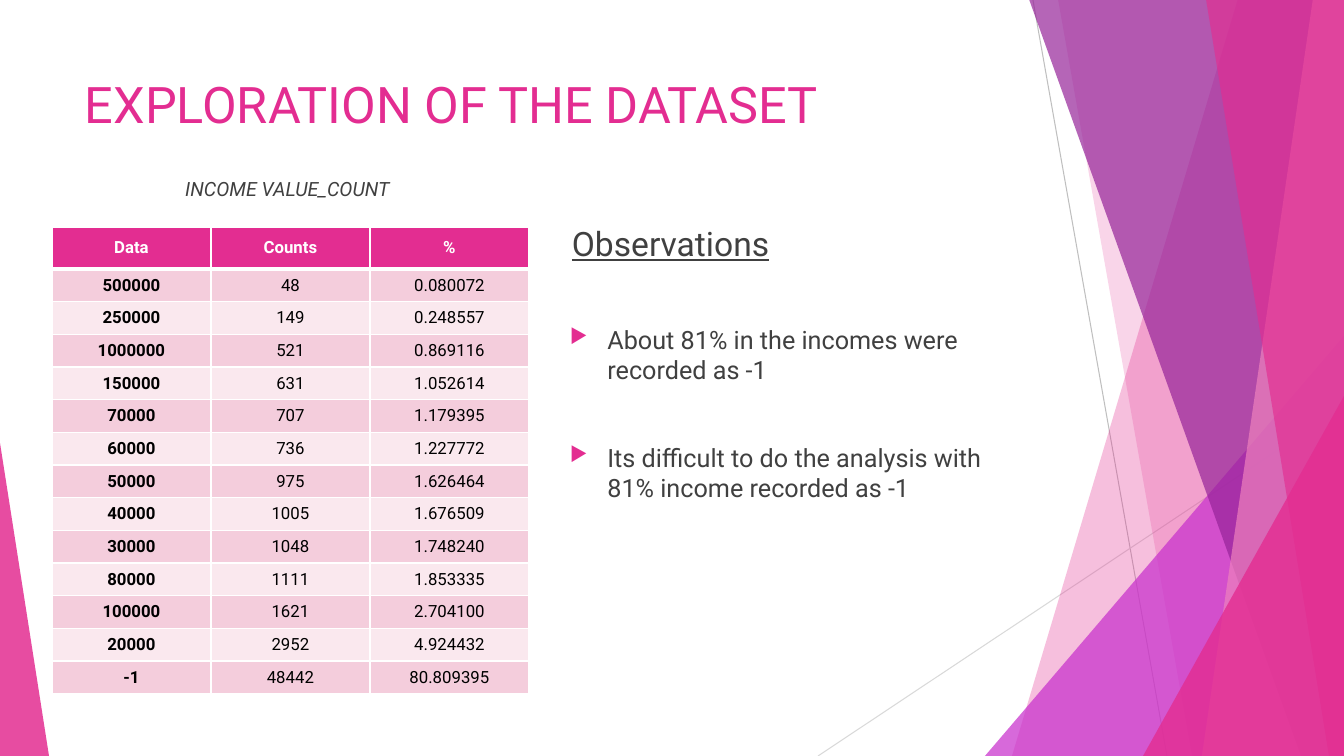
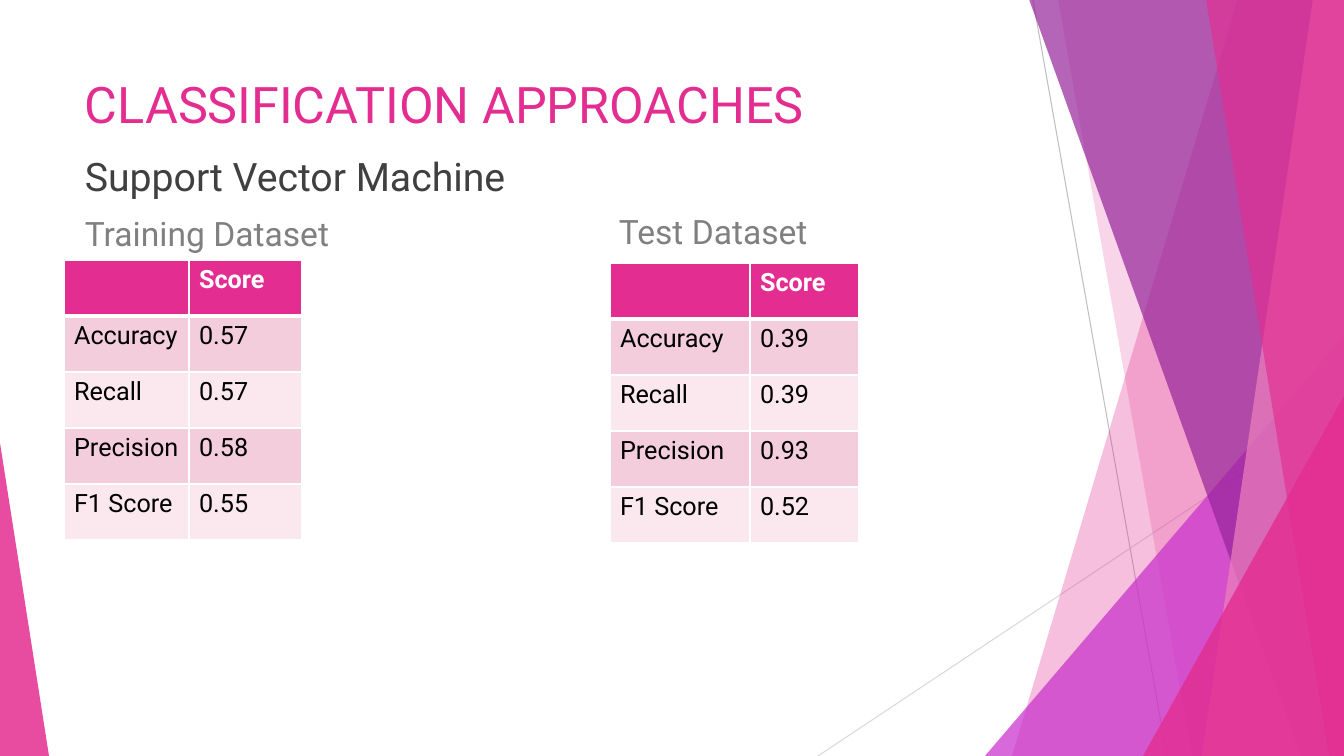
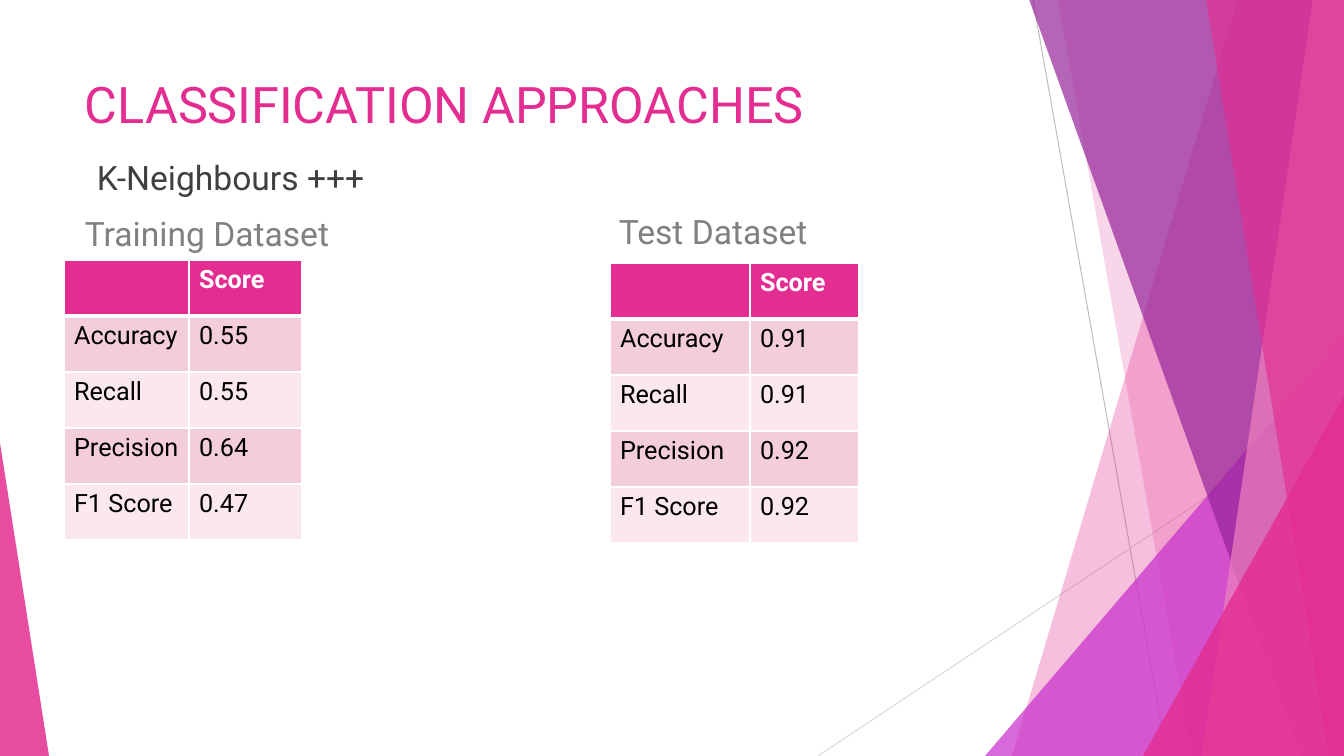
from lxml.etree import SubElement
from pptx import Presentation
from pptx.dml.color import RGBColor
from pptx.enum.shapes import MSO_CONNECTOR, MSO_SHAPE
from pptx.enum.text import MSO_ANCHOR, PP_ALIGN
from pptx.oxml import parse_xml
from pptx.oxml.ns import nsdecls, qn
from pptx.util import Emu, Pt

PIXEL = 914400 / 100.8
WIDTH, HEIGHT = 1344, 756
FONT = "Roboto"
PINK, WHITE, BLACK = "E32D91", "FFFFFF", "000000"
DARK, GREY = "404040", "808080"
ROW_FILLS = ["FAE8EE", "F4CDDC"]

LINES = [((1033, 0, 1167, 756), "BFBFBF"), ((1344, 406, 818, 756), "D9D9D9")]
PANELS = [
    ("band", (1238, 1012), PINK, 30),
    ("band", (1058, 1192), PINK, 20),
    ("triangle", (985, 336, 359, 420, 1), "C830CC", 72),
    ("band", (1029, 1301), "962499", 70),
    ("band", (1313, 1202), "EE81BD", 70),
    ("band", (1206, 1329), PINK, 65),
    ("triangle", (1143, 396, 201, 360, 1), PINK, 80),
    ("triangle", (0, 443, 49, 313, 0), PINK, 85),
]

INCOME_ROWS = [
    ("Data", "Counts", "%"),
    ("500000", "48", "0.080072"),
    ("250000", "149", "0.248557"),
    ("1000000", "521", "0.869116"),
    ("150000", "631", "1.052614"),
    ("70000", "707", "1.179395"),
    ("60000", "736", "1.227772"),
    ("50000", "975", "1.626464"),
    ("40000", "1005", "1.676509"),
    ("30000", "1048", "1.748240"),
    ("80000", "1111", "1.853335"),
    ("100000", "1621", "2.704100"),
    ("20000", "2952", "4.924432"),
    ("-1", "48442", "80.809395"),
]
METRICS = ["Accuracy", "Recall", "Precision", "F1 Score"]
MODELS = [
    ("Support Vector Machine", (75, 140, 462, 64), 28,
     ["0.57", "0.57", "0.58", "0.55"], ["0.39", "0.39", "0.93", "0.52"]),
    ("K-Neighbours +++", (87, 138, 462, 64), 24,
     ["0.55", "0.55", "0.64", "0.47"], ["0.91", "0.91", "0.92", "0.92"]),
]


def add_text(slide, box, lines, size, color, anchor=MSO_ANCHOR.BOTTOM,
             align=PP_ALIGN.LEFT, before=10, italic=False, underline=False):
    shape = slide.shapes.add_textbox(*[Emu(round(n * PIXEL)) for n in box])
    frame = shape.text_frame
    frame.word_wrap = True
    frame.vertical_anchor = anchor
    for index, line in enumerate(lines):
        paragraph = frame.add_paragraph() if index else frame.paragraphs[0]
        paragraph.alignment = align
        paragraph.space_before = Pt(before)
        run = paragraph.add_run()
        run.text = line
        run.font.name = FONT
        run.font.size = Pt(size)
        run.font.color.rgb = RGBColor.from_string(color)
        run.font.italic = italic
        run.font.underline = underline
    return frame


def add_grid(slide, left, top, widths, height, header, rows, size,
             anchor=MSO_ANCHOR.TOP, align=PP_ALIGN.LEFT, bold_labels=False):
    box = [left, top, sum(widths), height]
    table = slide.shapes.add_table(
        len(rows), len(widths), *[Emu(round(n * PIXEL)) for n in box]).table
    for column, width in zip(table.columns, widths):
        column.width = Emu(round(width * PIXEL))
    row_height = (height - header) / (len(rows) - 1)
    for r, values in enumerate(rows):
        table.rows[r].height = Emu(round((row_height if r else header) * PIXEL))
        for c, value in enumerate(values):
            cell = table.cell(r, c)
            cell.vertical_anchor = anchor
            cell.fill.solid()
            cell.fill.fore_color.rgb = RGBColor.from_string(ROW_FILLS[r % 2] if r else PINK)
            paragraph = cell.text_frame.paragraphs[0]
            paragraph.alignment = align
            paragraph.font.size = Pt(size)
            if value:
                run = paragraph.add_run()
                run.text = value
                run.font.name = FONT
                run.font.size = Pt(size)
                run.font.bold = r == 0 or (bold_labels and c == 0)
                run.font.color.rgb = RGBColor.from_string(BLACK if r else WHITE)
            properties = cell._tc.get_or_add_tcPr()
            for position, side in enumerate(["lnL", "lnR", "lnT", "lnB"]):
                weight = Pt(3 if (side, r) in [("lnB", 0), ("lnT", 1)] else 1)
                properties.insert(position, parse_xml(
                    f'<a:{side} {nsdecls("a")} w="{weight}"><a:solidFill>'
                    f'<a:srgbClr val="{WHITE}"/></a:solidFill></a:{side}>'))


presentation = Presentation()
presentation.slide_width = Emu(round(WIDTH * PIXEL))
presentation.slide_height = Emu(round(HEIGHT * PIXEL))

slides = []
for title in ["EXPLORATION OF THE DATASET"] + ["CLASSIFICATION APPROACHES"] * 2:
    slide = presentation.slides.add_slide(presentation.slide_layouts[6])
    slides.append(slide)
    for ends, color in LINES:
        connector = slide.shapes.add_connector(
            MSO_CONNECTOR.STRAIGHT, *[Emu(round(n * PIXEL)) for n in ends])
        connector.line.color.rgb = RGBColor.from_string(color)
        connector.line.width = Pt(0.75)
        SubElement(connector.element.spPr, qn("a:effectLst"))
    for kind, geometry, color, opacity in PANELS:
        if kind == "band":
            top_left, bottom_left = geometry
            builder = slide.shapes.build_freeform(top_left, -1, scale=PIXEL)
            builder.add_line_segments(
                [(WIDTH, -1), (WIDTH, HEIGHT), (bottom_left, HEIGHT)], close=True)
            shape = builder.convert_to_shape()
        else:
            *box, apex = geometry
            shape = slide.shapes.add_shape(
                MSO_SHAPE.ISOSCELES_TRIANGLE, *[Emu(round(n * PIXEL)) for n in box])
            shape.adjustments[0] = apex
        shape.shadow.inherit = False
        shape.line.fill.background()
        shape.fill.solid()
        shape.fill.fore_color.rgb = RGBColor.from_string(color)
        fill_color = shape.element.spPr.find(".//" + qn("a:srgbClr"))
        SubElement(fill_color, qn("a:alpha")).set("val", str(opacity * 1000))
    add_text(slide, (75, 68, 948, 145), [title], 36, PINK, MSO_ANCHOR.TOP, before=0)

income_slide, *model_slides = slides
add_text(income_slide, (562, 204, 462, 64), ["Observations"], 24, DARK, underline=True)
observations = add_text(income_slide, (560, 319, 462, 348), [
    "About 81% in the incomes were recorded as -1",
    "Its difficult to do the analysis with 81% income recorded as -1",
], 18, DARK, MSO_ANCHOR.TOP)
observations.paragraphs[1].space_before = Pt(41)
for paragraph in observations.paragraphs:
    properties = paragraph._p.get_or_add_pPr()
    indent = round(37.5 * PIXEL)
    properties.set("marL", str(indent))
    properties.set("indent", str(-indent))
    bullet_color = SubElement(properties, qn("a:buClr"))
    SubElement(bullet_color, qn("a:srgbClr")).set("val", PINK)
    SubElement(properties, qn("a:buSzPct")).set("val", "80000")
    SubElement(properties, qn("a:buChar")).set("char", "▶")
add_grid(income_slide, 52, 227, [159] * 3, 467, 42, INCOME_ROWS, 12,
         MSO_ANCHOR.MIDDLE, PP_ALIGN.CENTER, bold_labels=True)
add_text(income_slide, (80, 154, 415, 51), ["INCOME VALUE_COUNT"], 14, DARK,
         align=PP_ALIGN.CENTER, italic=True)

for slide, (name, name_box, name_size, training, test) in zip(model_slides, MODELS):
    for left, top, widths, scores in [
        (64, 260, [125, 113], training),
        (610, 263, [140, 109], test),
    ]:
        rows = [("", "Score"), *zip(METRICS, scores)]
        add_grid(slide, left, top, widths, 280, 56, rows, 18)
    add_text(slide, (75, 204, 293, 54), ["Training Dataset"], 24, GREY)
    add_text(slide, (609, 202, 250, 54), ["Test Dataset"], 24, GREY)
    add_text(slide, name_box, [name], name_size, DARK)

presentation.save("out.pptx")
